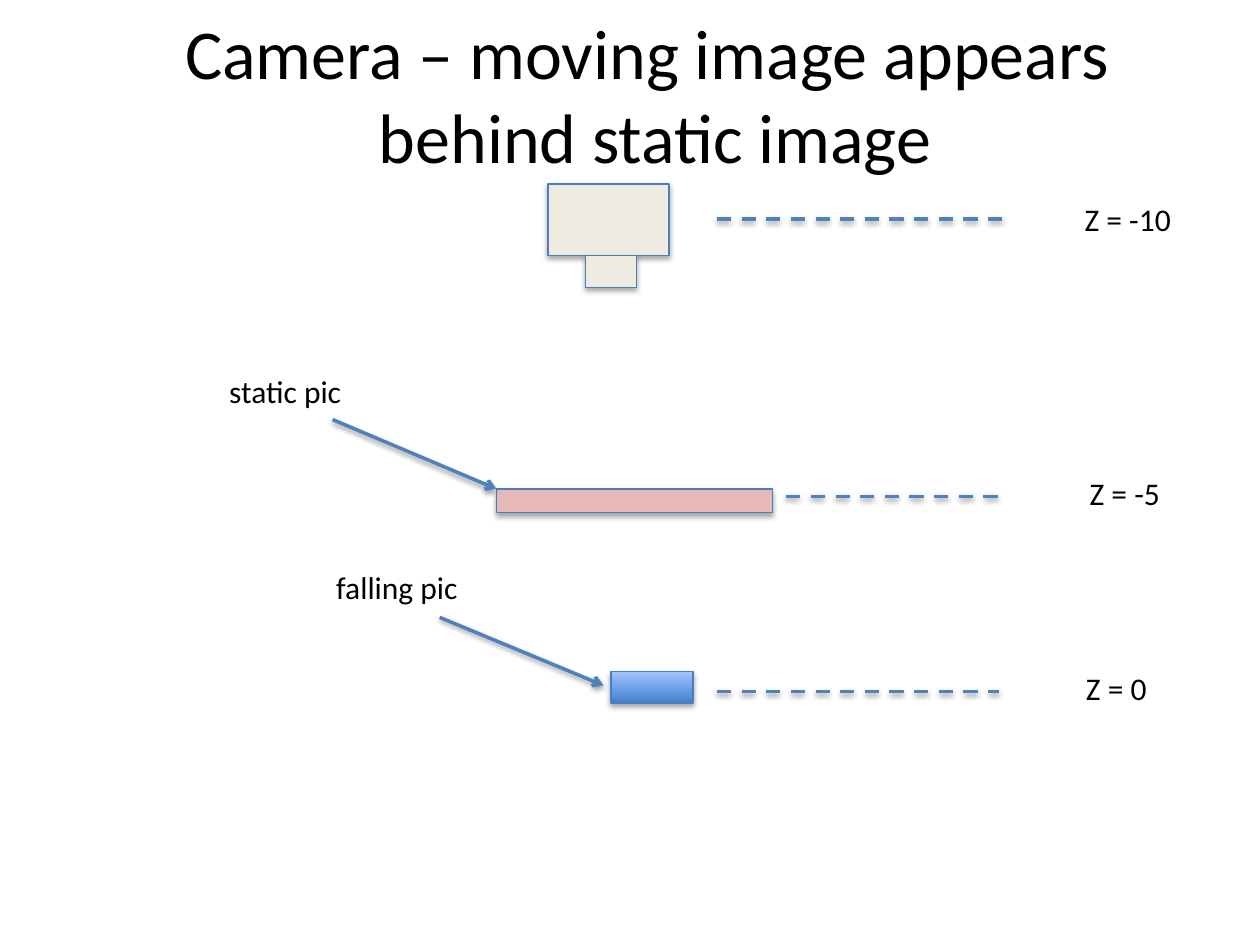
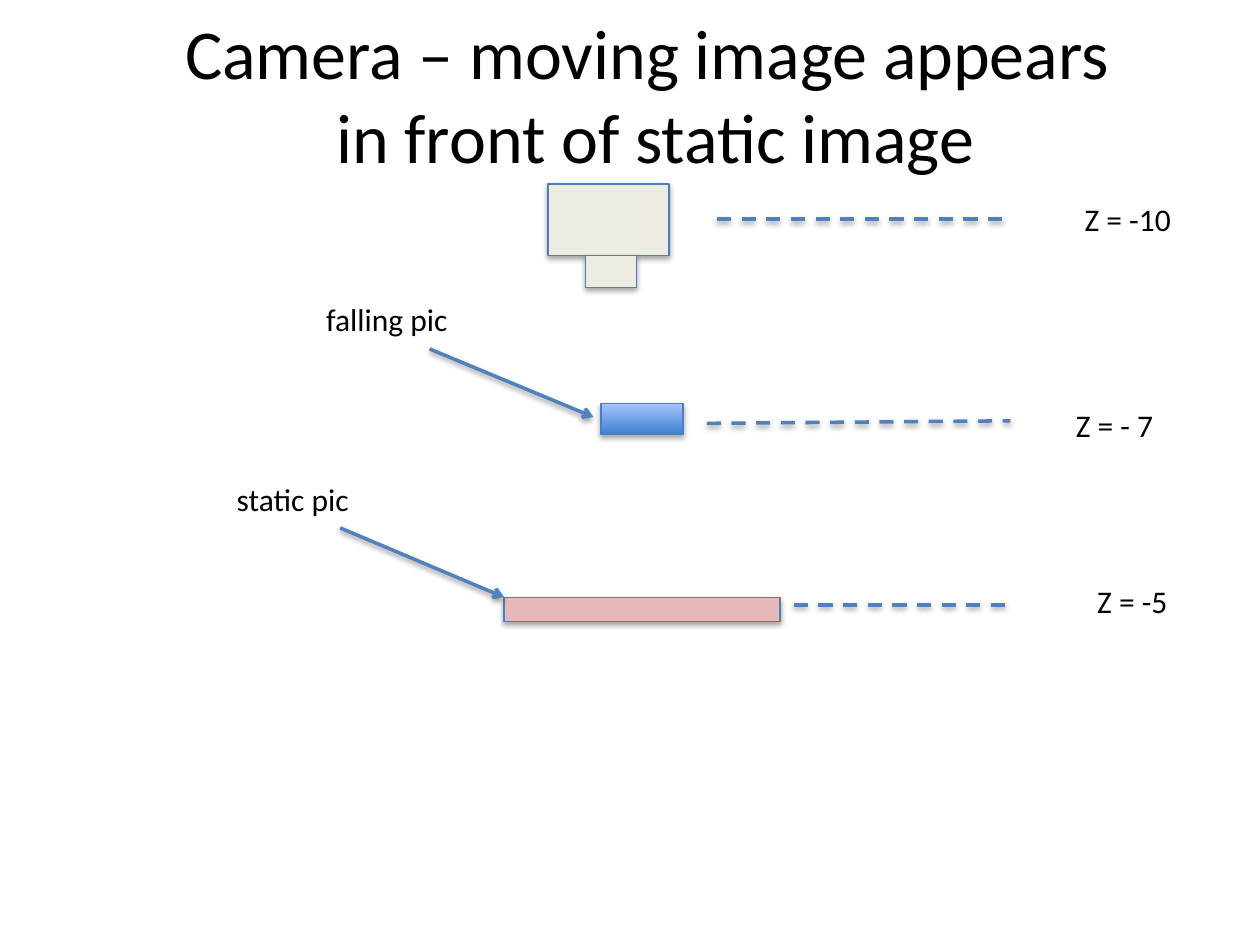
from pptx import Presentation
from pptx.dml.color import RGBColor
from pptx.enum.dml import MSO_LINE
from pptx.enum.shapes import MSO_CONNECTOR, MSO_SHAPE
from pptx.enum.text import MSO_AUTO_SIZE, PP_ALIGN
from pptx.oxml import parse_xml
from pptx.oxml.ns import nsdecls
from pptx.util import Inches, Pt

FONT, TITLE_SIZE, LABEL_SIZE = "Calibri", 40, 18
BLACK, OUTLINE, ACCENT = "000000", "4B7EBC", "4F81BD"
CAMERA, STATIC, FALLING = "EEECE1", "E6B9B8", ("3F80CE", "A4C4FF")
BOX_SHADOW = {"alpha": 35000, "dist": 23000}
LINE_SHADOW = {"alpha": 38000, "dist": 20000}
FIRST_TITLE_LINE = "Camera – moving image appears "


def rgb(hex_color):
    return RGBColor.from_string(hex_color)


def cast_shadow(shape, alpha, dist):
    effects = shape._element.spPr.get_or_add_effectLst()
    effects.append(parse_xml(
        f'<a:outerShdw {nsdecls("a")} blurRad="40000" dist="{dist}" dir="5400000" rotWithShape="0">'
        f'<a:srgbClr val="{BLACK}"><a:alpha val="{alpha}"/></a:srgbClr></a:outerShdw>'))


# Static and falling are the top left corners of the two pictures.
# Falling dash is the end of its depth line, relative to that corner.
scenes = [
    {"title": "behind static image", "static": (3.94, 3.88), "falling": (4.85, 5.33),
     "falling_dash": (3.08, 0.16), "falling_z": "Z = 0", "z_width": 0.69, "z_rise": 0.07},
    {"title": "in front of static image", "static": (4, 4.74), "falling": (4.77, 3.2),
     "falling_dash": (3.25, 0.14), "falling_z": "Z = - 7", "z_width": 0.82, "z_rise": 0.03},
]

deck = Presentation()
deck.slide_width, deck.slide_height = Inches(10), Inches(7.5)

for scene in scenes:
    slide = deck.slides.add_slide(deck.slide_layouts[6])
    sx, sy = scene["static"]
    fx, fy = scene["falling"]
    dash_dx, dash_dy = scene["falling_dash"]

    boxes = [
        (4.35, 1.46, 0.96, 0.57, CAMERA),
        (4.65, 2.03, 0.4, 0.25, CAMERA),
        (sx, sy, 2.19, 0.19, STATIC),
        (fx, fy, 0.65, 0.25, FALLING),
    ]
    for *place, color in boxes:
        box = slide.shapes.add_shape(MSO_SHAPE.RECTANGLE, *map(Inches, place))
        if color == FALLING:
            box.fill.gradient()
            box.fill.gradient_angle = 90
            for stop, stop_color in zip(box.fill.gradient_stops, color):
                stop.color.rgb = rgb(stop_color)
        else:
            box.fill.solid()
            box.fill.fore_color.rgb = rgb(color)
        box.line.color.rgb = rgb(OUTLINE)
        box.line.width = Pt(0.75)
        cast_shadow(box, **BOX_SHADOW)

    depth_lines = [
        (5.69, 1.74, 7.96, 1.74),
        (sx + 2.3, sy + 0.06, sx + 4.02, sy + 0.06),
        (fx + 0.84, fy + 0.16, fx + dash_dx, fy + dash_dy),
    ]
    pointers = [
        (sx - 1.3, sy - 0.55, sx, sy),
        (fx - 1.36, fy - 0.43, fx - 0.06, fy + 0.11),
    ]
    for ends in depth_lines + pointers:
        line = slide.shapes.add_connector(MSO_CONNECTOR.STRAIGHT, *map(Inches, ends))
        line.line.color.rgb = rgb(ACCENT)
        line.line.width = Pt(2)
        if ends in depth_lines:
            line.line.dash_style = MSO_LINE.DASH
        else:
            line.line._get_or_add_ln().append(
                parse_xml(f'<a:tailEnd {nsdecls("a")} type="arrow"/>'))
        cast_shadow(line, **LINE_SHADOW)

    texts = [
        (1.33, 0.03, 7.74, 1.45, [FIRST_TITLE_LINE, scene["title"]], TITLE_SIZE, PP_ALIGN.CENTER),
        (8.51, 1.54, 0.89, 0.4, ["Z = -10"], LABEL_SIZE, PP_ALIGN.LEFT),
        (sx - 2.22, sy - 0.98, 1.12, 0.4, ["static pic"], LABEL_SIZE, PP_ALIGN.LEFT),
        (sx + 4.61, sy - 0.17, 0.77, 0.4, ["Z = -5"], LABEL_SIZE, PP_ALIGN.LEFT),
        (fx - 2.28, fy - 0.87, 1.18, 0.4, ["falling pic"], LABEL_SIZE, PP_ALIGN.LEFT),
        (fx + 3.67, fy - scene["z_rise"], scene["z_width"], 0.4, [scene["falling_z"]],
         LABEL_SIZE, PP_ALIGN.LEFT),
    ]
    for *place, lines, size, align in texts:
        frame = slide.shapes.add_textbox(*map(Inches, place)).text_frame
        frame.word_wrap = False
        frame.auto_size = MSO_AUTO_SIZE.SHAPE_TO_FIT_TEXT
        frame.text = "\n".join(lines)
        for paragraph in frame.paragraphs:
            paragraph.alignment = align
            for run in paragraph.runs:
                run.font.name = FONT
                run.font.size = Pt(size)
                run.font.color.rgb = rgb(BLACK)

deck.save("out.pptx")
